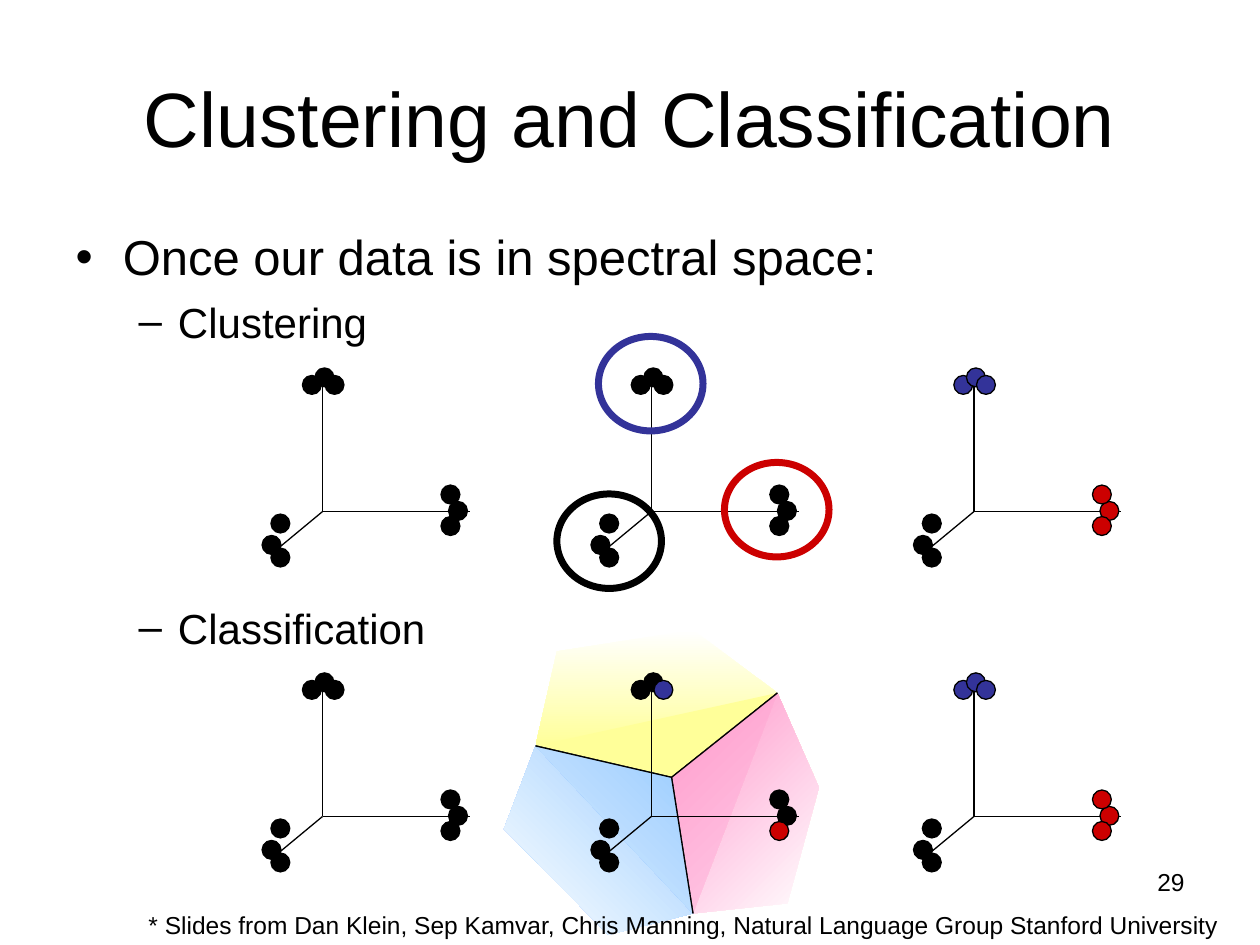
"""Build the slide that compares clustering and classification in spectral space."""
from pptx import Presentation, util as u
from pptx.dml import color
from pptx.enum import shapes, text
from pptx.oxml import parse_xml

BLACK, BLUE, RED = "000000", "333399", "CC0000"
TITLE = "Clustering and Classification"
BODY = [
    ("Once our data is in spectral space:", 0, 28, 7),
    ("Clustering", 1, 24, 6),
    ("Classification", 1, 24, 146),
]
NOTES = [
    ("* Slides from Dan Klein, Sep Kamvar, Chris Manning, "
     "Natural Language Group Stanford University",
     (1.08, 7.17, 8.92, 0.34), text.PP_ALIGN.LEFT),
    ("29", (7.17, 6.83, 2.33, 0.52), text.PP_ALIGN.RIGHT),
]
COLS, ROWS = (2.56, 5.17, 7.73), (4.06, 6.48)
AXES = [(0, -1.08), (1.17, 0), (-0.41, 0.34)]
DOTS = [
    (-0.16, -1.08), (-0.06, -1.14), (0.02, -1.08),
    (1, -0.08), (0.94, -0.21), (0.94, 0.04),
    (-0.48, 0.19), (-0.41, 0.29), (-0.41, 0.02),
]
PLAIN = [BLACK] * 9
SORTED = [BLUE] * 3 + [RED] * 3 + [BLACK] * 3
LABELLED = [BLACK] * 2 + [BLUE] + [BLACK] * 2 + [RED] + [BLACK] * 3
PLOTS = [(PLAIN, PLAIN, SORTED), (PLAIN, LABELLED, SORTED)]
RINGS = [(4.42, 3.92, BLACK), (5.75, 3.67, RED), (4.75, 2.67, BLUE)]
WEST, EAST, SOUTH, CENTRE = (4.25, 5.92), (6.17, 5.5), (5.5, 7.25), (5.33, 6.17)
REGIONS = [
    ([WEST, (4.42, 5.17), (5.5, 5), EAST], ("FFFFFF", "FFFF99"), 90, None),
    ([EAST, (6.5, 6.25), (6.25, 7.17), SOUTH], ("FFFFFF", "FF99CC"), 225, None),
    ([WEST, (4, 6.58), (4.83, 7.42), SOUTH], ("99CCFF", "FFFFFF"), 135, None),
    ([WEST, CENTRE, EAST], ("FFFF99", "FFFF99"), 90, BLACK),
    ([EAST, CENTRE, SOUTH], ("FFCFE7", "FF99CC"), 225, BLACK),
    ([WEST, CENTRE, SOUTH], ("99CCFF", "DFEFFF"), 135, BLACK),
]
EFFECTS = '<a:effectLst xmlns:a="http://schemas.openxmlformats.org/drawingml/2006/main"/>'


def rgb(value):
    return color.RGBColor.from_string(value)


def set_line(sp, value, width=0.75):
    if value is None:
        sp.line.fill.background()
    else:
        sp.line.color.rgb = rgb(value)
        sp.line.width = u.Pt(width)


def write(p, words, size, **paragraph):
    r = p.add_run()
    r.text = words
    for name, value in {"name": "Arial", "size": u.Pt(size)}.items():
        setattr(r.font, name, value)
    r.font.color.rgb = rgb(BLACK)
    for name, value in paragraph.items():
        setattr(p, name, value)


def add_ellipse(s, x, y, w, h, line, width, fill=None):
    sp = s.shapes.add_shape(shapes.MSO_SHAPE.OVAL, *map(u.Inches, (x, y, w, h)))
    sp.shadow.inherit = False
    if fill:
        sp.fill.solid()
        sp.fill.fore_color.rgb = rgb(fill)
    else:
        sp.fill.background()
    set_line(sp, line, width)


def add_region(s, points, stops, angle, line):
    start, *rest = [tuple(map(u.Inches, pt)) for pt in points]
    builder = s.shapes.build_freeform(*start)
    builder.add_line_segments(rest, close=False)
    sp = builder.convert_to_shape()
    sp.shadow.inherit = False
    if stops[0] == stops[1]:
        sp.fill.solid()
        sp.fill.fore_color.rgb = rgb(stops[0])
    else:
        sp.fill.gradient()
        sp.fill.gradient_angle = 360 - angle
        for stop, value in zip(sp.fill.gradient_stops, stops):
            stop.color.rgb = rgb(value)
    set_line(sp, line)


def add_plot(s, x, y, colours):
    for dx, dy in AXES:
        ends = map(u.Inches, (x, y, x + dx, y + dy))
        axis = s.shapes.add_connector(shapes.MSO_CONNECTOR.STRAIGHT, *ends)
        set_line(axis, BLACK)
        axis._element.spPr.append(parse_xml(EFFECTS))
    for (dx, dy), fill in zip(DOTS, colours):
        add_ellipse(s, x + dx, y + dy, 0.15, 0.15, BLACK, 0.75, fill)


def add_text(s):
    title, body = s.placeholders
    for sp, box in ((title, (0.5, 0.3, 9, 1.25)), (body, (0.5, 1.75, 9, 4.95))):
        for name, value in zip(("left", "top", "width", "height"), box):
            setattr(sp, name, u.Inches(value))
        sp.text_frame.auto_size = text.MSO_AUTO_SIZE.NONE
    write(title.text_frame.paragraphs[0], TITLE, 44)
    tf = body.text_frame
    for i, (words, level, size, before) in enumerate(BODY):
        p = tf.add_paragraph() if i else tf.paragraphs[0]
        write(p, words, size, level=level, space_before=u.Pt(before))


def main():
    prs = Presentation()
    prs.slide_width, prs.slide_height = u.Inches(10), u.Inches(7.5)
    s = prs.slides.add_slide(prs.slide_layouts[1])
    add_text(s)
    for region in REGIONS:
        add_region(s, *region)
    for y, row in zip(ROWS, PLOTS):
        for x, colours in zip(COLS, row):
            add_plot(s, x, y, colours)
    for x, y, line in RINGS:
        add_ellipse(s, x, y, 0.83, 0.75, line, 4)
    for words, box, align in NOTES:
        tf = s.shapes.add_textbox(*map(u.Inches, box)).text_frame
        tf.word_wrap = True
        write(tf.paragraphs[0], words, 14, alignment=align)
    prs.save("out.pptx")


if __name__ == "__main__":
    main()
